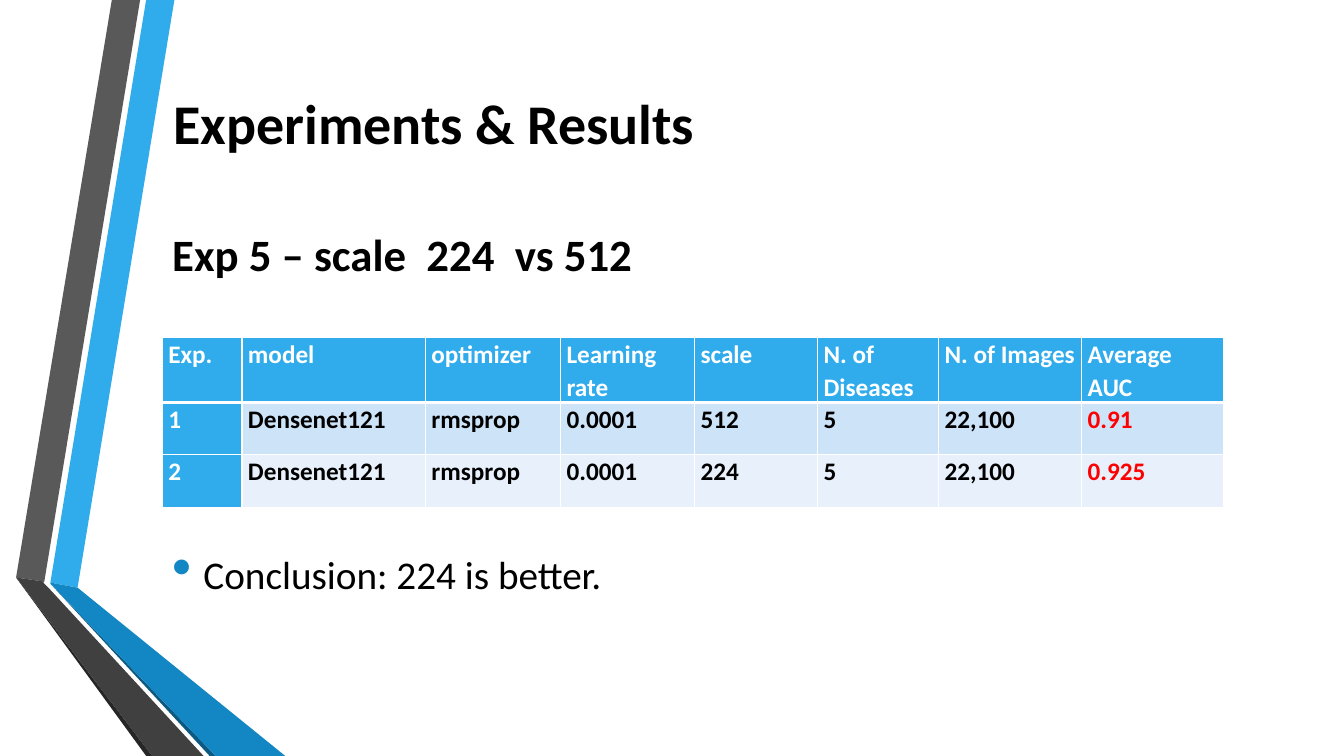
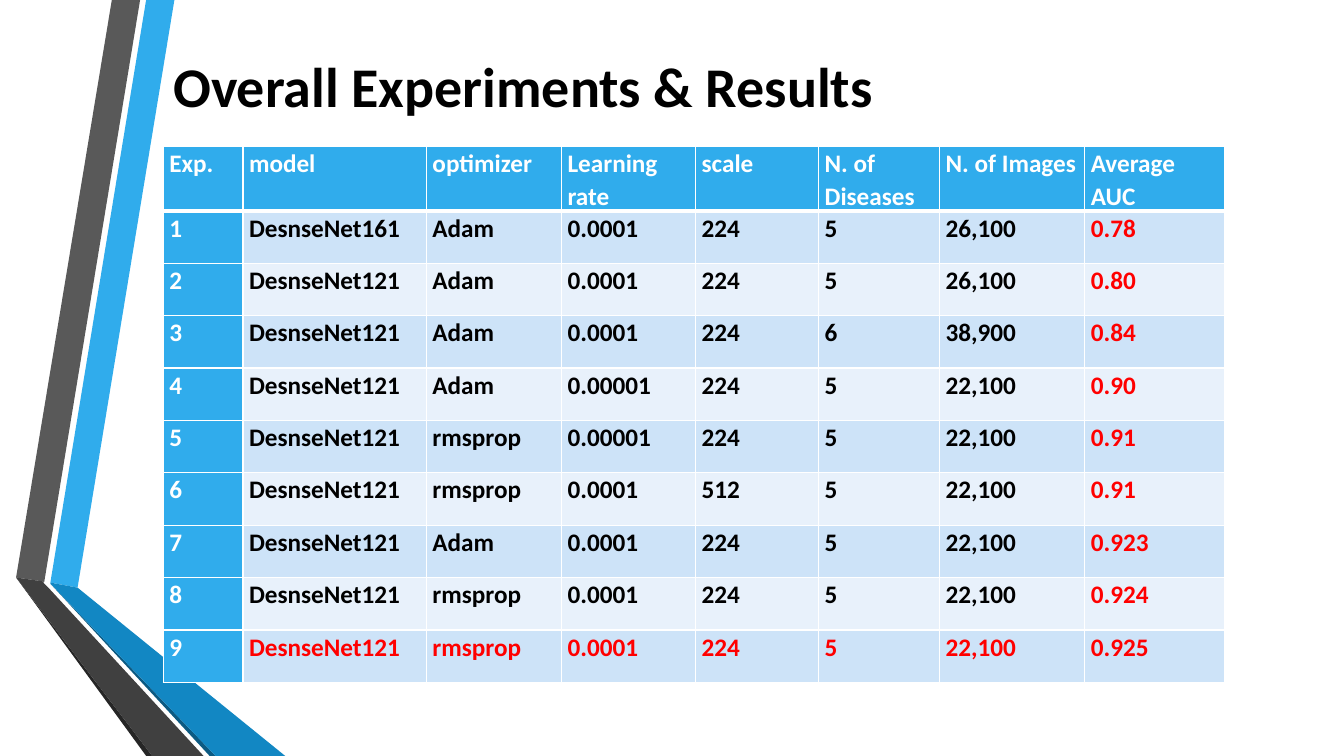
from dataclasses import dataclass

from lxml.etree import SubElement
from pptx import Presentation
from pptx.dml.color import RGBColor
from pptx.enum.text import MSO_ANCHOR
from pptx.oxml.ns import qn
from pptx.util import Emu, Pt

EMU_PER_PX = 9144  # 100 px to the inch


@dataclass(frozen=True)
class Theme:
    font: str = "Calibri"
    title_size: int = 40
    subtitle_size: int = 32
    body_size: int = 28
    table_size: int = 18
    ink: str = "000000"
    white: str = "FFFFFF"
    alert: str = "FF0000"
    accent: str = "30ACEC"
    accent_dark: str = "1287C3"
    accent_shade: str = "0C5A82"
    gray: str = "595959"
    gray_dark: str = "404040"
    gray_shade: str = "262626"
    row_odd: str = "CDE3F8"
    row_even: str = "E8F1FB"


THEME = Theme()

RIBBONS = [
    (THEME.accent, [(50, 578), (77, 583), (173, 0), (145, 0)]),
    (THEME.gray, [(139, 0), (111, 0), (16, 573), (44, 577)]),
    (THEME.gray_shade, [(16, 573), (145, 750), (151, 750)]),
    (THEME.accent_shade, [(50, 579), (208, 750), (214, 750)]),
    (THEME.accent_dark, [(50, 578), (50, 579), (214, 750), (283, 750), (77, 583)]),
    (THEME.gray_dark, [(202, 750), (48, 583), (43, 578), (44, 577), (16, 573), (151, 750)]),
]

HEADINGS = ["Exp.", "model", "optimizer", "Learning rate", "scale",
            "N. of Diseases", "N. of Images", "Average AUC"]
HEADER_HEIGHT, ROW_HEIGHT = 64, 52

SCALE_RUNS = [
    ("Densenet121", "rmsprop", "0.0001", "512", "5", "22,100", "0.91"),
    ("Densenet121", "rmsprop", "0.0001", "224", "5", "22,100", "0.925"),
]
ALL_RUNS = [
    ("DesnseNet161", "Adam", "0.0001", "224", "5", "26,100", "0.78"),
    ("DesnseNet121", "Adam", "0.0001", "224", "5", "26,100", "0.80"),
    ("DesnseNet121", "Adam", "0.0001", "224", "6", "38,900", "0.84"),
    ("DesnseNet121", "Adam", "0.00001", "224", "5", "22,100", "0.90"),
    ("DesnseNet121", "rmsprop", "0.00001", "224", "5", "22,100", "0.91"),
    ("DesnseNet121", "rmsprop", "0.0001", "512", "5", "22,100", "0.91"),
    ("DesnseNet121", "Adam", "0.0001", "224", "5", "22,100", "0.923"),
    ("DesnseNet121", "rmsprop", "0.0001", "224", "5", "22,100", "0.924"),
    ("DesnseNet121", "rmsprop", "0.0001", "224", "5", "22,100", "0.925"),
]


def px(length):
    return Emu(length * EMU_PER_PX)


def rgb(color):
    return RGBColor.from_string(color)


def write(frame, text, size, color=THEME.ink, bold=False, line_spacing=None):
    """Put text in the first paragraph of a frame and return that paragraph."""
    para = frame.paragraphs[0]
    if line_spacing:
        para.line_spacing = line_spacing
    span = para.add_run()
    span.text = text
    span.font.name = THEME.font
    span.font.size = Pt(size)
    span.font.bold = bold
    span.font.color.rgb = rgb(color)
    return para


def add_text(page, box, text, anchor=MSO_ANCHOR.MIDDLE, **style):
    frame = page.shapes.add_textbox(*map(px, box)).text_frame
    frame.word_wrap = True
    frame.vertical_anchor = anchor
    return write(frame, text, **style)


def add_bullet(para, indent, color, percent):
    properties = para._p.get_or_add_pPr()
    properties.set("marL", str(px(indent)))
    properties.set("indent", str(px(-indent)))
    bullet_color = SubElement(properties, qn("a:buClr"))
    SubElement(bullet_color, qn("a:srgbClr"), val=color)
    SubElement(properties, qn("a:buSzPct"), val=str(percent * 1000))
    SubElement(properties, qn("a:buChar"), char="•")


def add_ribbons(page):
    group = page.shapes.add_group_shape()
    for color, points in RIBBONS:
        builder = group.shapes.build_freeform(*points[0], scale=EMU_PER_PX)
        builder.add_line_segments(points[1:], close=True)
        ribbon = builder.convert_to_shape()
        ribbon.shadow.inherit = False
        ribbon.fill.solid()
        ribbon.fill.fore_color.rgb = rgb(color)
        ribbon.line.fill.background()


def set_borders(cell, top=1, bottom=1):
    properties = cell._tc.get_or_add_tcPr()
    for side, width in (("L", 1), ("R", 1), ("T", top), ("B", bottom)):
        line = SubElement(properties, qn(f"a:ln{side}"), w=str(Pt(width)))
        fill = SubElement(line, qn("a:solidFill"))
        SubElement(fill, qn("a:srgbClr"), val=THEME.white)


def fill_cell(cell, text, color, background, **borders):
    set_borders(cell, **borders)
    cell.fill.solid()
    cell.fill.fore_color.rgb = rgb(background)
    cell.margin_left = cell.margin_right = px(6)
    cell.margin_top = cell.margin_bottom = 0
    write(cell.text_frame, text, THEME.table_size, color, bold=True, line_spacing=1.07)


def add_results(page, left, top, widths, runs, best=None):
    """Add a table of numbered runs; the run numbered best is all in red."""
    height = HEADER_HEIGHT + ROW_HEIGHT * len(runs)
    table = page.shapes.add_table(len(runs) + 1, len(widths), px(left), px(top),
                                  px(sum(widths)), px(height)).table
    table.first_col = True
    table.horz_banding = False
    for column, width in zip(table.columns, widths):
        column.width = px(width)
    for index, row in enumerate(table.rows):
        row.height = px(ROW_HEIGHT if index else HEADER_HEIGHT)

    for column, heading in enumerate(HEADINGS):
        fill_cell(table.cell(0, column), heading, THEME.white, THEME.accent, bottom=3)
    for number, run in enumerate(runs, start=1):
        top_width = 3 if number == 1 else 1
        background = THEME.row_odd if number % 2 else THEME.row_even
        fill_cell(table.cell(number, 0), str(number), THEME.white, THEME.accent,
                  top=top_width)
        for column, value in enumerate(run, start=1):
            red = number == best or column == len(run)
            fill_cell(table.cell(number, column), value,
                      THEME.alert if red else THEME.ink, background, top=top_width)


def add_page(deck, title, title_top):
    page = deck.slides.add_slide(deck.slide_layouts[6])
    add_ribbons(page)
    add_text(page, (162, title_top, 1096, 93), title, size=THEME.title_size, bold=True)
    return page


def add_scale_page(deck):
    page = add_page(deck, "Experiments & Results", 75)
    add_results(page, 161, 335, [79, 182, 134, 133, 122, 120, 142, 141], SCALE_RUNS)
    add_text(page, (161, 205, 1096, 93), "Exp 5 – scale  224  vs 512",
             size=THEME.subtitle_size, bold=True)
    para = add_text(page, (161, 541, 1042, 57), "Conclusion: 224 is better.",
                    anchor=MSO_ANCHOR.TOP, size=THEME.body_size)
    add_bullet(para, 31, THEME.accent_dark, 145)


def add_overall_page(deck):
    page = add_page(deck, "Overall Experiments & Results", 38)
    add_results(page, 162, 145, [79, 182, 134, 133, 122, 120, 144, 139], ALL_RUNS, best=9)


def main():
    deck = Presentation()
    deck.slide_width, deck.slide_height = px(1333), px(750)
    add_scale_page(deck)
    add_overall_page(deck)
    deck.save("out.pptx")


if __name__ == "__main__":
    main()
